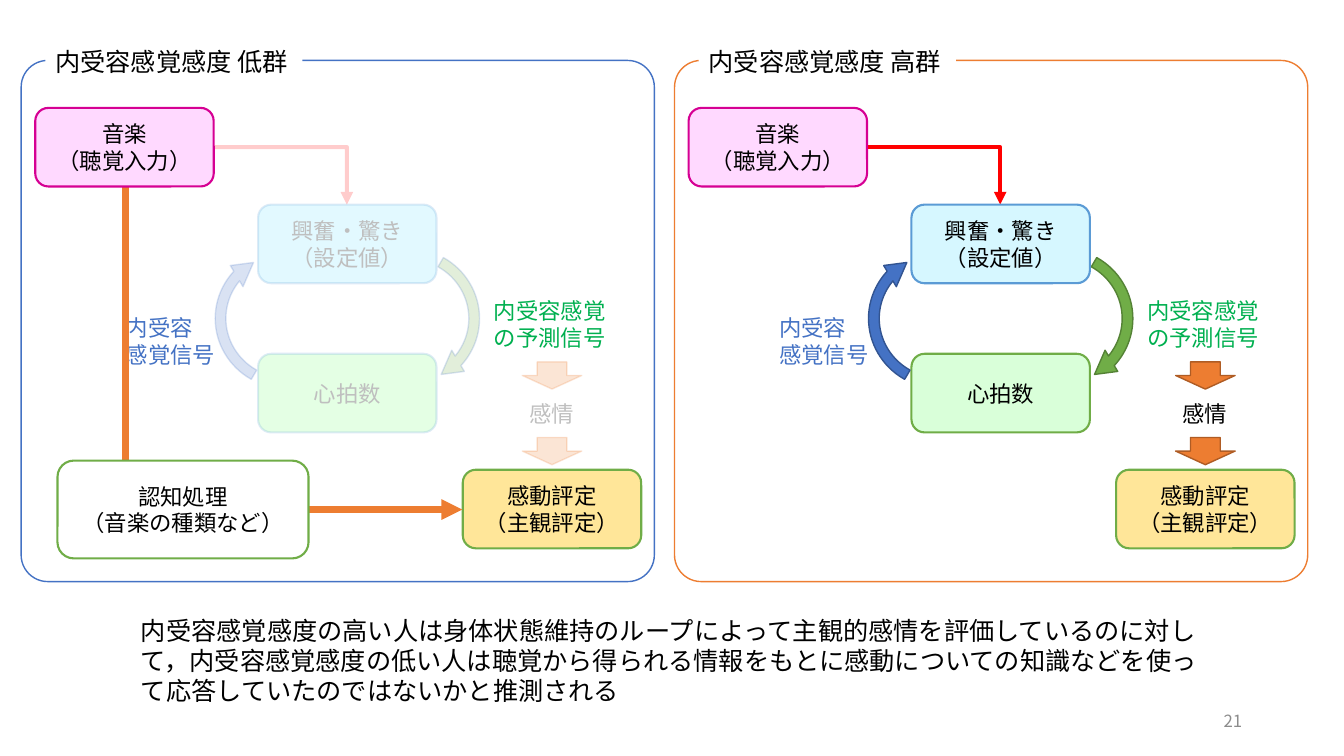
from dataclasses import dataclass

from pptx import Presentation
from pptx import util as u
from pptx.dml.color import RGBColor
from pptx.enum import shapes as s, text as t
from pptx.oxml.ns import qn
from pptx.oxml.xmlchemy import OxmlElement
from pptx.shapes.autoshape import Shape
from pptx.shapes.connector import Connector
from pptx.slide import Slide
from pptx.text.text import TextFrame

PX = 9144  # 100 px to the inch
FONT = "Noto Sans CJK JP"
STEP = 648  # from the left panel to the right one

BLACK = RGBColor(0x00, 0x00, 0x00)
WHITE = RGBColor(0xFF, 0xFF, 0xFF)
PALE = RGBColor(0xBF, 0xBF, 0xBF)
GREY = RGBColor(0x8C, 0x8C, 0x8C)
RED = RGBColor(0xFF, 0x00, 0x00)
BLUE = RGBColor(0x44, 0x72, 0xC4)
NAVY = RGBColor(0x32, 0x54, 0x91)
SKY = RGBColor(0x5B, 0x9B, 0xD5)
GREEN = RGBColor(0x70, 0xAD, 0x47)
MOSS = RGBColor(0x54, 0x82, 0x35)
LEAF = RGBColor(0x00, 0xB0, 0x50)
AMBER = RGBColor(0xED, 0x7D, 0x31)
BROWN = RGBColor(0xAF, 0x5C, 0x24)
PINK = RGBColor(0xD6, 0x00, 0x93)
ROSE = RGBColor(0xFF, 0xD9, 0xFF)
MINT = RGBColor(0xD9, 0xFF, 0xD9)
ICE = RGBColor(0xD6, 0xF7, 0xFF)
GOLD = RGBColor(0xFF, 0xE6, 0x99)

ROUND = s.MSO_SHAPE.ROUNDED_RECTANGLE
RING = s.MSO_SHAPE.CIRCULAR_ARROW
DOWN = s.MSO_SHAPE.DOWN_ARROW
BEND = (0.069, 11.423, 186.121, 126.145, 0.08)


@dataclass(frozen=True)
class Area:
    x: int
    y: int
    w: int
    h: int

    def emu(self) -> tuple[int, int, int, int]:
        return self.x * PX, self.y * PX, self.w * PX, self.h * PX


@dataclass(frozen=True)
class Look:
    """Fill and edge colours, edge width in points, opacities in percent."""
    fill: RGBColor | None
    edge: RGBColor
    width: float = 1
    solid: int = 100
    rim: int = 100


@dataclass(frozen=True)
class Panel:
    x: int
    title: str
    edge: RGBColor
    ink: RGBColor
    heart: Look
    mood: Look
    rise: Look
    fall: Look
    drop: Look
    cue: int


LOW = Panel(
    0, "内受容感覚感度 低群", BLUE, PALE,
    heart=Look(MINT, SKY, 1.5, 70, 20), mood=Look(ICE, SKY, 1.5, 70, 20),
    rise=Look(BLUE, BLUE, 1, 20, 20), fall=Look(GREEN, BLUE, 1, 20, 20),
    drop=Look(AMBER, AMBER, 1, 20, 20), cue=20)
HIGH = Panel(
    STEP, "内受容感覚感度 高群", AMBER, BLACK,
    heart=Look(MINT, GREEN, 1.5), mood=Look(ICE, SKY, 1.5),
    rise=Look(BLUE, NAVY), fall=Look(GREEN, MOSS),
    drop=Look(AMBER, BROWN), cue=100)


def fade(node, pct: int) -> None:
    """Give the colour inside a fill or line an opacity."""
    if pct < 100:
        for tint in node.iter(qn("a:srgbClr")):
            alpha = OxmlElement("a:alpha")
            alpha.set("val", str(pct * 1000))
            tint.append(alpha)


def write(frame: TextFrame, rows: tuple[str, ...], size: int,
          ink: RGBColor, align: t.PP_ALIGN) -> None:
    for i, row in enumerate(rows):
        para = frame.paragraphs[0] if i == 0 else frame.add_paragraph()
        para.alignment = align
        run = para.add_run()
        run.text = row
        run.font.size = u.Pt(size)
        run.font.name = FONT
        run.font.color.rgb = ink
        east = OxmlElement("a:ea")
        east.set("typeface", FONT)
        run.font._element.find(qn("a:latin")).addnext(east)


def draw(slide: Slide, kind: s.MSO_SHAPE, area: Area, look: Look) -> Shape:
    shape = slide.shapes.add_shape(kind, *area.emu())
    shape.shadow.inherit = False
    shape.line.color.rgb = look.edge
    shape.line.width = u.Pt(look.width)
    fade(shape.line._ln, look.rim)
    if look.fill is None:
        shape.fill.background()
    else:
        shape.fill.solid()
        shape.fill.fore_color.rgb = look.fill
        fade(shape._element.spPr.find(qn("a:solidFill")), look.solid)
    return shape


def card(slide: Slide, area: Area, look: Look, *rows: str,
         ink: RGBColor = BLACK) -> None:
    frame = draw(slide, ROUND, area, look).text_frame
    frame.word_wrap = True
    frame.vertical_anchor = t.MSO_ANCHOR.MIDDLE
    write(frame, rows, 16, ink, t.PP_ALIGN.CENTER)


def label(slide: Slide, area: Area, *rows: str, ink: RGBColor = BLACK,
          size: int = 16, wrap: bool = False) -> Shape:
    box = slide.shapes.add_textbox(*area.emu())
    box.text_frame.word_wrap = wrap
    box.text_frame.auto_size = t.MSO_AUTO_SIZE.SHAPE_TO_FIT_TEXT
    write(box.text_frame, rows, size, ink, t.PP_ALIGN.LEFT)
    return box


def ring(slide: Slide, area: Area, look: Look, flip: bool) -> None:
    shape = draw(slide, RING, area, look)
    for i, value in enumerate(BEND):
        shape.adjustments[i] = value
    shape.rotation = 90
    if flip:
        form = shape._element.spPr.find(qn("a:xfrm"))
        form.set("flipH", "1")
        form.set("flipV", "1")


def elbow(slide: Slide, start: tuple[int, int], end: tuple[int, int],
          ink: RGBColor, width: int, pct: int = 100,
          drop: bool = False) -> Connector:
    """Arrow with one corner: across then down, or down then across if drop."""
    (x, y), (right, low) = start, end
    shift = ((right - x) - (low - y)) // 2 if drop else 0
    ends = (x + shift, y - shift, right - shift, low + shift)
    line = slide.shapes.add_connector(
        s.MSO_CONNECTOR.ELBOW, *(v * PX for v in ends))
    props = line._element.spPr
    props.find(qn("a:prstGeom")).set("prst", "bentConnector2")
    if drop:
        form = props.find(qn("a:xfrm"))
        form.set("rot", str(270 * 60000))
        form.set("flipH", "1")
    line.line.color.rgb = ink
    line.line.width = u.Pt(width)
    fade(line.line._ln, pct)
    tip = OxmlElement("a:tailEnd")
    tip.set("type", "triangle")
    line.line._ln.append(tip)
    props.append(OxmlElement("a:effectLst"))
    return line


def build(slide: Slide, p: Panel) -> None:
    def at(x: int, y: int, w: int = 177, h: int = 78) -> Area:
        return Area(p.x + x, y, w, h)

    card(slide, at(256, 351), p.heart, "心拍数", ink=p.ink)
    ring(slide, at(328, 238, 153, 156), p.fall, False)
    ring(slide, at(208, 238, 153, 156), p.rise, True)
    label(slide, at(115, 307, 110, 61), "内受容", "感覚信号", ink=BLUE)
    elbow(slide, (p.x + 212, 146), (p.x + 344, 203), RED, 3, p.cue)
    label(slide, at(480, 290, 137, 64), "内受容感覚", "の予測信号",
          ink=LEAF, wrap=True)
    card(slide, at(256, 203), p.mood, "興奮・驚き（設定値）", ink=p.ink)
    for y in (359, 434):
        draw(slide, DOWN, at(518, y, 59, 27), p.drop)
    label(slide, at(515, 392, 65, 37), "感情", ink=p.ink)
    card(slide, at(459, 466), Look(GOLD, GREEN, 1.5), "感動評定", "（主観評定）")
    edge = draw(slide, ROUND, at(21, 60, 628, 517), Look(None, p.edge))
    edge.adjustments[0] = 0.051
    head = label(slide, at(45, 41, 255, 40), p.title, size=18)
    head.fill.solid()
    head.fill.fore_color.rgb = WHITE
    if p is LOW:
        elbow(slide, (124, 185), (459, 505), AMBER, 5, drop=True)
        card(slide, Area(57, 457, 249, 97), Look(WHITE, GREEN, 1.5),
             "認知処理", "（音楽の種類など）")
    card(slide, at(35, 107), Look(ROSE, PINK, 1.5), "音楽", "（聴覚入力）")


def main() -> None:
    deck = Presentation()
    deck.slide_width, deck.slide_height = 1333 * PX, 750 * PX
    slide = deck.slides.add_slide(deck.slide_layouts[6])
    for panel in (HIGH, LOW):
        build(slide, panel)
    label(slide, Area(130, 605, 1072, 101),
          "内受容感覚感度の高い人は身体状態維持のループによって主観的感情を評価しているのに対して，"
          "内受容感覚感度の低い人は聴覚から得られる情報をもとに感動についての知識などを使って"
          "応答していたのではないかと推測される", size=18, wrap=True)
    page = slide.shapes.add_textbox(*Area(942, 695, 300, 40).emu()).text_frame
    page.word_wrap = True
    page.vertical_anchor = t.MSO_ANCHOR.MIDDLE
    write(page, ("21",), 12, GREY, t.PP_ALIGN.RIGHT)
    deck.save("out.pptx")


if __name__ == "__main__":
    main()
